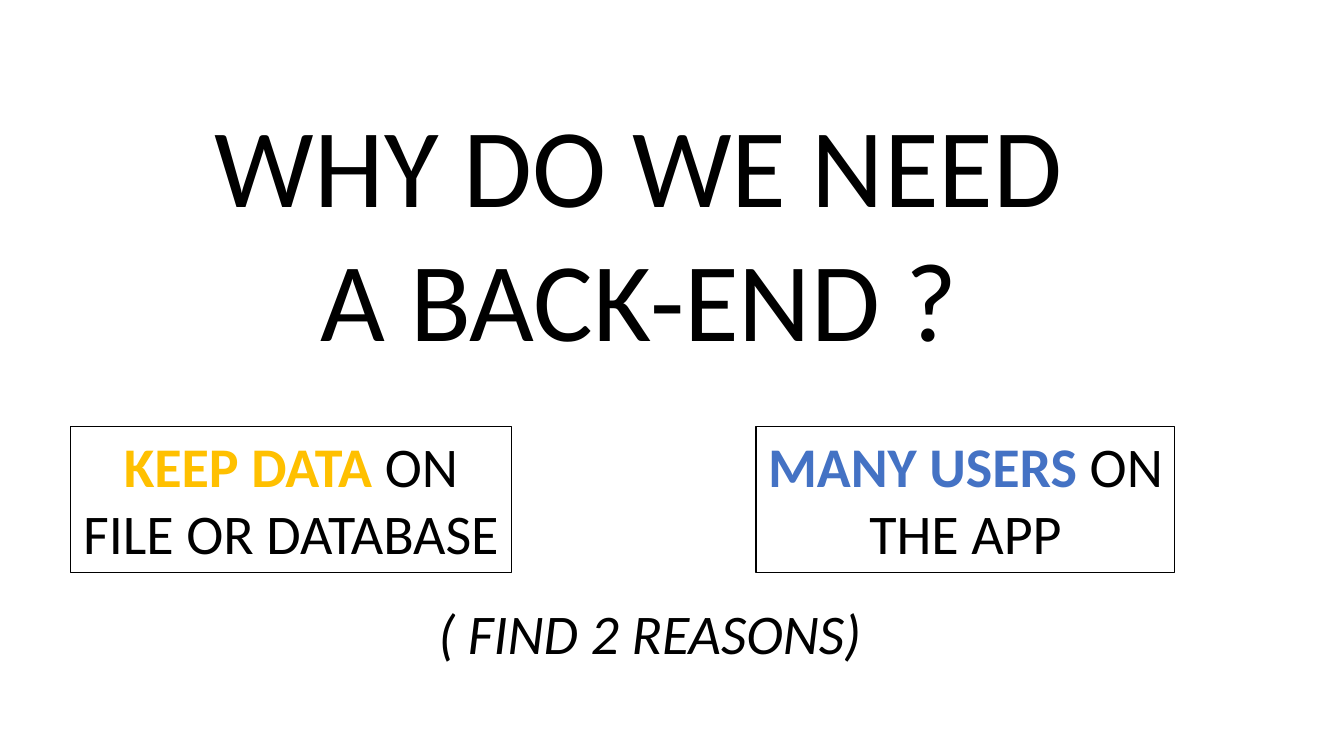
from dataclasses import dataclass

from pptx import Presentation
from pptx import util as u
from pptx.dml.color import RGBColor
from pptx.enum import shapes, text
from pptx.shapes.autoshape import Shape
from pptx.slide import Slide
from pptx.text.text import TextFrame

PX = 9525  # EMU per px, 96 px to the inch
FONT = "Calibri"
COLORS = {"black": "000000", "gold": "FFC000", "blue": "4472C4"}


@dataclass(frozen=True)
class Piece:
    words: str
    color: str = "black"
    bold: bool = False
    italic: bool = False


@dataclass(frozen=True)
class Reason:
    left: int
    width: int
    lines: list[list[Piece]]


REASONS = [
    Reason(67, 420, [[Piece("KEEP DATA ", "gold", bold=True), Piece("ON")],
                     [Piece("FILE OR DATABASE")]]),
    Reason(720, 399, [[Piece("MANY USERS ", "blue", bold=True), Piece("ON")],
                      [Piece("THE APP")]]),
]
REASON_TOP, REASON_HEIGHT = 406, 139


def px(*lengths: int) -> list[u.Emu]:
    return [u.Emu(length * PX) for length in lengths]


def rgb(name: str) -> RGBColor:
    return RGBColor.from_string(COLORS[name])


def write_lines(frame: TextFrame, lines: list[list[Piece]], size: int, wrap: bool) -> None:
    """Fill the frame with centred paragraphs, one for each line."""
    frame.word_wrap = wrap
    frame.auto_size = text.MSO_AUTO_SIZE.SHAPE_TO_FIT_TEXT
    frame.vertical_anchor = text.MSO_ANCHOR.TOP
    for number, pieces in enumerate(lines):
        paragraph = frame.add_paragraph() if number else frame.paragraphs[0]
        paragraph.alignment = text.PP_ALIGN.CENTER
        paragraph.line_spacing = 1.0
        paragraph.space_before = u.Pt(0)
        for piece in pieces:
            run = paragraph.add_run()
            run.text = piece.words
            run.font.name = FONT
            run.font.size = u.Pt(size)
            run.font.bold = piece.bold
            run.font.italic = piece.italic
            run.font.color.rgb = rgb(piece.color)


def add_reason(slide: Slide, reason: Reason) -> Shape:
    box = slide.shapes.add_shape(
        shapes.MSO_SHAPE.RECTANGLE,
        *px(reason.left, REASON_TOP, reason.width, REASON_HEIGHT))
    box.shadow.inherit = False
    box.fill.background()
    box.line.color.rgb = rgb("black")
    box.line.width = u.Pt(0.75)
    write_lines(box.text_frame, reason.lines, 40, wrap=False)
    return box


def main() -> None:
    deck = Presentation()
    deck.slide_width, deck.slide_height = px(1280, 720)
    slide = deck.slides.add_slide(deck.slide_layouts.get_by_name("Title Only"))

    question = slide.shapes.title
    question.left, question.top, question.width, question.height = px(191, 86, 835, 268)
    write_lines(question.text_frame,
                [[Piece("WHY DO WE NEED")], [Piece("A BACK-END ?")]], 80, wrap=True)

    hint = slide.shapes.add_textbox(*px(405, 565, 428, 74))
    write_lines(hint.text_frame, [[Piece("( FIND 2 REASONS)", italic=True)]], 40, wrap=False)

    for reason in REASONS:
        add_reason(slide, reason)

    deck.save("out.pptx")


if __name__ == "__main__":
    main()
